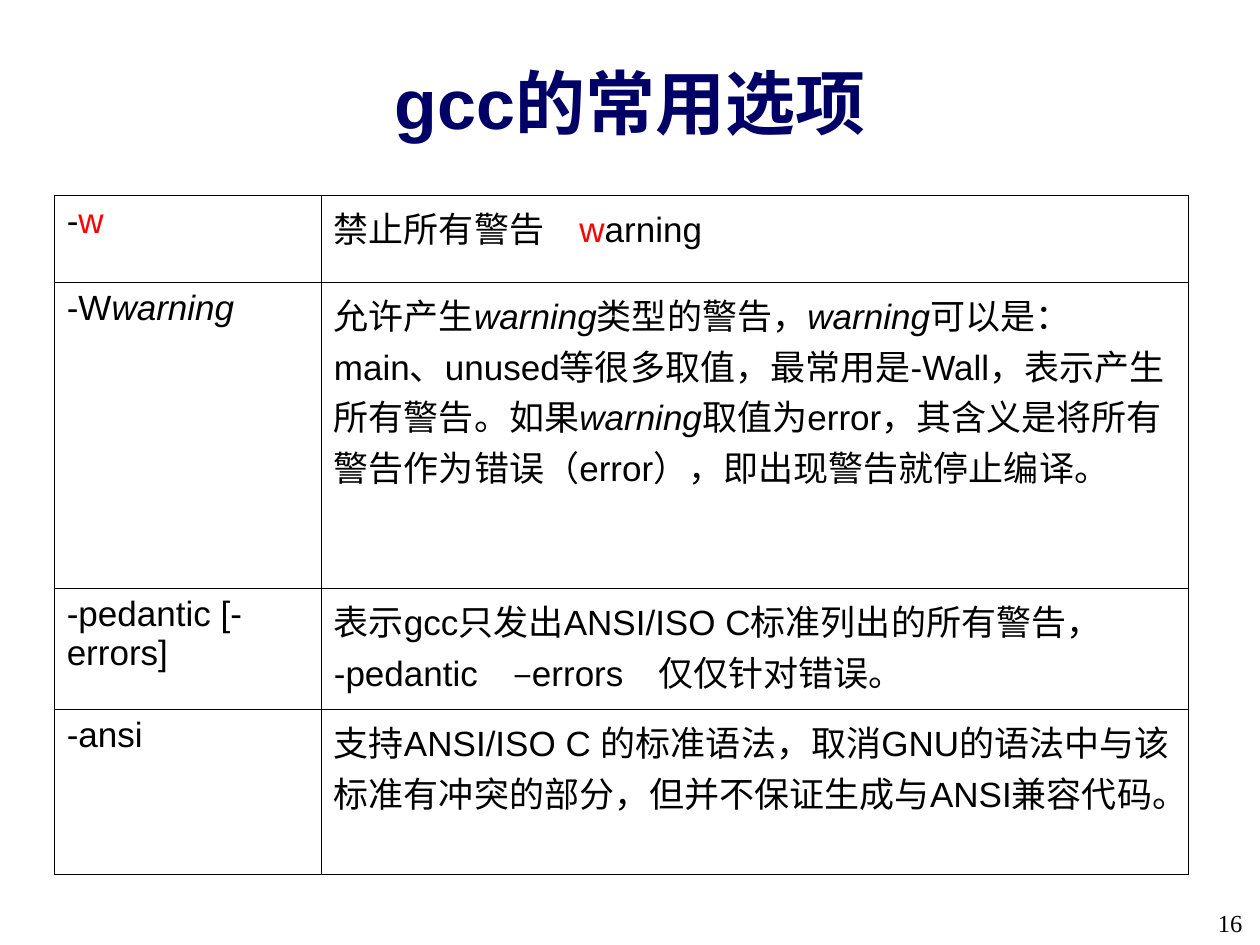
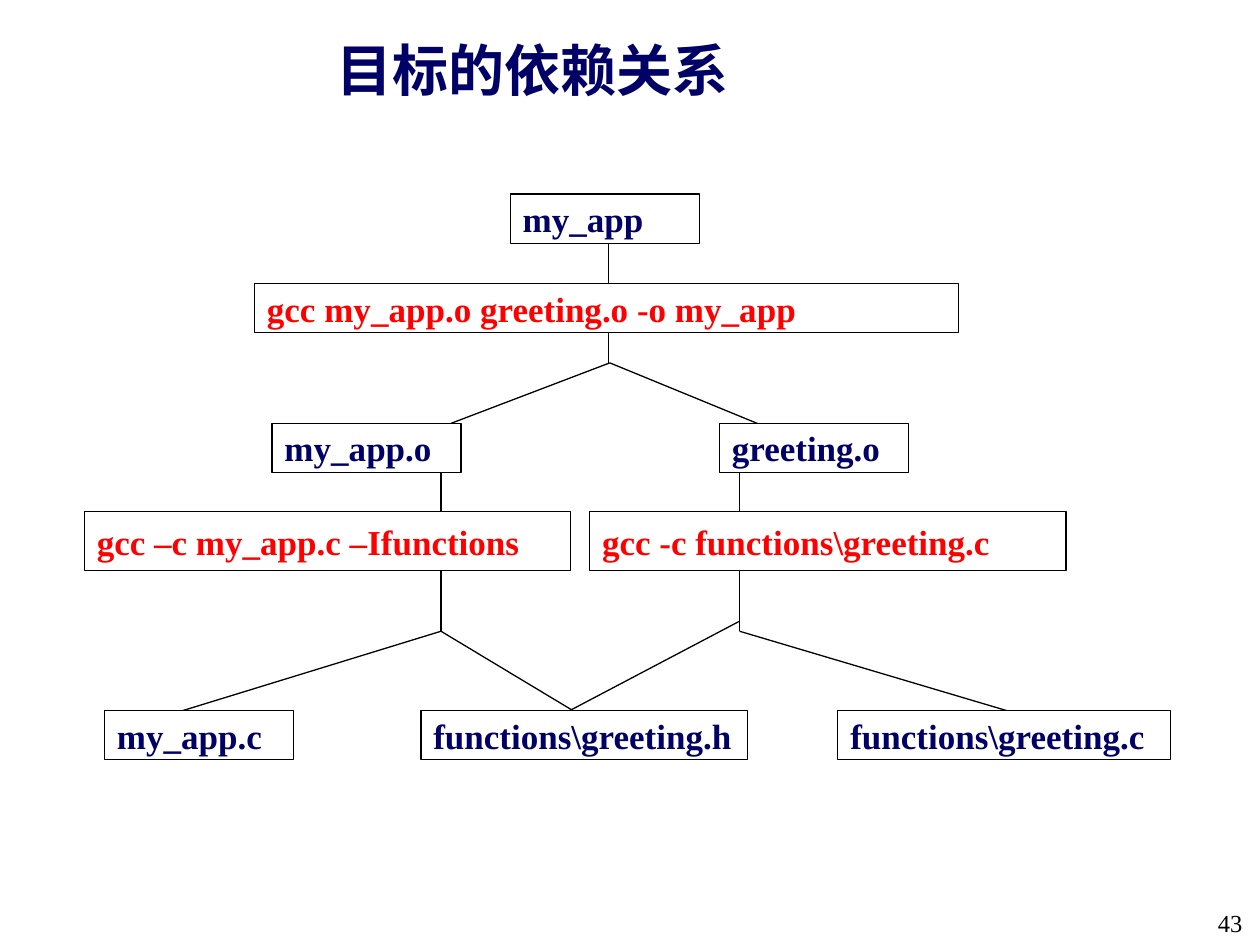
import pptx
import pptx.dml.color
import pptx.enum.shapes
import pptx.enum.text
import pptx.oxml
import pptx.oxml.ns
import pptx.util
from pptx.util import Inches

RGBColor = pptx.dml.color.RGBColor
NAVY = RGBColor(0x00, 0x00, 0x66)
RED = RGBColor(0xFF, 0x00, 0x00)
BLACK = RGBColor(0x00, 0x00, 0x00)
WHITE = RGBColor(0xFF, 0xFF, 0xFF)
NUMBER_COLOR = RGBColor(0x01, 0x00, 0x00)
SANS, SERIF = "Arial", "Times New Roman"
ALIGN = pptx.enum.text.PP_ALIGN
ANCHOR = pptx.enum.text.MSO_ANCHOR
TITLE_ONLY = 5

# Each cell is a list of (text, style) runs: "" plain, "red" or "italic"
OPTIONS = [
    (0.69, [("-", ""), ("w", "red")],
     [("禁止所有警告　", ""), ("w", "red"), ("arning", "")]),
    (2.43, [("-W", ""), ("warning", "italic")],
     [("允许产生", ""), ("warning", "italic"), ("类型的警告，", ""),
      ("warning", "italic"),
      ("可以是：main、unused等很多取值，最常用是-Wall，表示产生所有警告。如果", ""),
      ("warning", "italic"),
      ("取值为error，其含义是将所有警告作为错误（error），即出现警告就停止编译。", "")]),
    (0.96, [("-pedantic [-errors]", "")],
     [("表示gcc只发出ANSI/ISO C标准列出的所有警告， "
       "-pedantic　–errors　仅仅针对错误。", "")]),
    (1.31, [("-ansi", "")],
     [("支持ANSI/ISO C 的标准语法，取消GNU的语法中与该标准有冲突的部分，"
       "但并不保证生成与ANSI兼容代码。", "")]),
]

# Dependency tree, in inches from its top left corner
FILE_H, COMMAND_H = 0.39, 0.47
NODES = [  # text, left, top, width, height, colour
    ("my_app", 3.38, 0, 1.5, FILE_H, NAVY),
    ("gcc my_app.o greeting.o -o my_app", 1.35, 0.71, 5.59, FILE_H, RED),
    ("my_app.o", 1.49, 1.82, 1.5, FILE_H, NAVY),
    ("greeting.o", 5.04, 1.82, 1.5, FILE_H, NAVY),
    ("gcc –c my_app.c –Ifunctions", 0, 2.52, 3.86, COMMAND_H, RED),
    ("gcc -c functions\\greeting.c", 4.01, 2.52, 3.78, COMMAND_H, RED),
    ("my_app.c", 0.16, 4.1, 1.5, FILE_H, NAVY),
    ("functions\\greeting.h", 2.67, 4.1, 2.59, FILE_H, NAVY),
    ("functions\\greeting.c", 5.98, 4.1, 2.64, FILE_H, NAVY),
]
LINKS = [  # x1, y1, x2, y2
    (4.16, 0.39, 4.16, 1.34),
    (4.17, 1.34, 2.91, 1.82),
    (4.17, 1.34, 5.51, 1.89),
    (2.83, 2.21, 2.83, 3.47),
    (5.2, 2.21, 5.2, 3.47),
    (2.83, 3.47, 0.78, 4.1),
    (2.83, 3.47, 4.01, 4.18),
    (5.2, 3.47, 7.32, 4.1),
    (5.2, 3.39, 3.7, 4.18),
]


def set_font(font, name, size, color, bold=False):
    font.name, font.size, font.bold = name, pptx.util.Pt(size), bold
    font.color.rgb = color


def set_margins(tf, side):
    tf.margin_left = tf.margin_right = Inches(side)
    tf.margin_top = tf.margin_bottom = Inches(0.05)


def add_titled_slide(prs, title, box, size, align, number):
    """Add a slide with its title and the page number."""
    s = prs.slides.add_slide(prs.slide_layouts[TITLE_ONLY])
    sp = s.shapes.title
    sp.left, sp.top, sp.width, sp.height = map(Inches, box)
    tf = sp.text_frame
    tf.text = title
    tf.auto_size = pptx.enum.text.MSO_AUTO_SIZE.NONE
    tf.vertical_anchor = ANCHOR.TOP
    set_margins(tf, 0.09)
    p = tf.paragraphs[0]
    p.alignment = align
    set_font(p.font, SANS, size, NAVY, True)

    # Page number
    tf = s.shapes.add_textbox(*map(Inches, (9.2, 7.16, 0.76, 0.34))).text_frame
    tf.word_wrap = True
    tf.text = number
    p = tf.paragraphs[0]
    p.alignment = ALIGN.RIGHT
    set_font(p.font, SERIF, 14, NUMBER_COLOR)
    return s


def border_cell(cell):
    tc_pr = cell._tc.get_or_add_tcPr()
    for i, side in enumerate("LRTB"):
        tc_pr.insert(i, pptx.oxml.parse_xml(
            f'<a:ln{side} {pptx.oxml.ns.nsdecls("a")} w="5715"><a:solidFill>'
            f'<a:srgbClr val="{BLACK}"/></a:solidFill></a:ln{side}>'))


def fill_cell(cell, runs):
    cell.fill.background()
    border_cell(cell)
    set_margins(cell, 0.1)
    p = cell.text_frame.paragraphs[0]
    set_font(p.font, SANS, 20, BLACK)
    for text, style in runs:
        r = p.add_run()
        r.text = text
        if style == "red":
            r.font.color.rgb = RED
        elif style == "italic":
            r.font.italic = True


def add_options_table(s, left, top, widths):
    heights = [row[0] for row in OPTIONS]
    table = s.shapes.add_table(
        len(OPTIONS), len(widths), Inches(left), Inches(top),
        Inches(sum(widths)), Inches(sum(heights))).table
    table.first_row = table.horz_banding = False
    for column, width in zip(table.columns, widths):
        column.width = Inches(width)
    for i, (height, *cells) in enumerate(OPTIONS):
        table.rows[i].height = Inches(height)
        for j, runs in enumerate(cells):
            fill_cell(table.cell(i, j), runs)


def add_link(shapes, x1, y1, x2, y2):
    line = shapes.add_connector(pptx.enum.shapes.MSO_CONNECTOR.STRAIGHT,
                                *map(Inches, (x1, y1, x2, y2)))
    line.line.color.rgb = BLACK
    line.line.width = pptx.util.Pt(0.75)
    line._element.spPr.append(pptx.oxml.parse_xml(
        f'<a:effectLst {pptx.oxml.ns.nsdecls("a")}/>'))


def add_node(shapes, text, box, color):
    sp = shapes.add_shape(pptx.enum.shapes.MSO_SHAPE.RECTANGLE,
                          *map(Inches, box))
    sp.shadow.inherit = False
    sp.fill.solid()
    sp.fill.fore_color.rgb = WHITE
    sp.line.color.rgb = BLACK
    sp.line.width = pptx.util.Pt(0.75)
    tf = sp.text_frame
    tf.word_wrap = True
    tf.vertical_anchor = ANCHOR.MIDDLE
    set_margins(tf, 0.1)
    tf.margin_right = Inches(0.05)
    tf.text = text
    p = tf.paragraphs[0]
    p.alignment = ALIGN.LEFT
    set_font(p.font, SERIF, 20, color, True)


def add_dependency_tree(s, left, top):
    shapes = s.shapes.add_group_shape().shapes
    # Links go first so that the boxes cover their ends
    for x1, y1, x2, y2 in LINKS:
        add_link(shapes, left + x1, top + y1, left + x2, top + y2)
    for text, x, y, width, height, color in NODES:
        add_node(shapes, text, (left + x, top + y, width, height), color)


def main():
    prs = pptx.Presentation()
    prs.slide_width, prs.slide_height = Inches(10), Inches(7.5)

    # Compiler options
    s = add_titled_slide(prs, "gcc的常用选项", (0.5, 0.5, 9, 0.89), 40,
                         ALIGN.CENTER, "16")
    s.shapes.title.text_frame.paragraphs[0].line_spacing = 0.9
    add_options_table(s, 0.43, 1.55, (2.12, 6.88))

    # Target dependencies
    s = add_titled_slide(prs, "目标的依赖关系", (2.58, 0.23, 6.54, 0.71), 32,
                         ALIGN.LEFT, "43")
    add_dependency_tree(s, 0.67, 1.54)

    prs.save("out.pptx")


if __name__ == "__main__":
    main()
